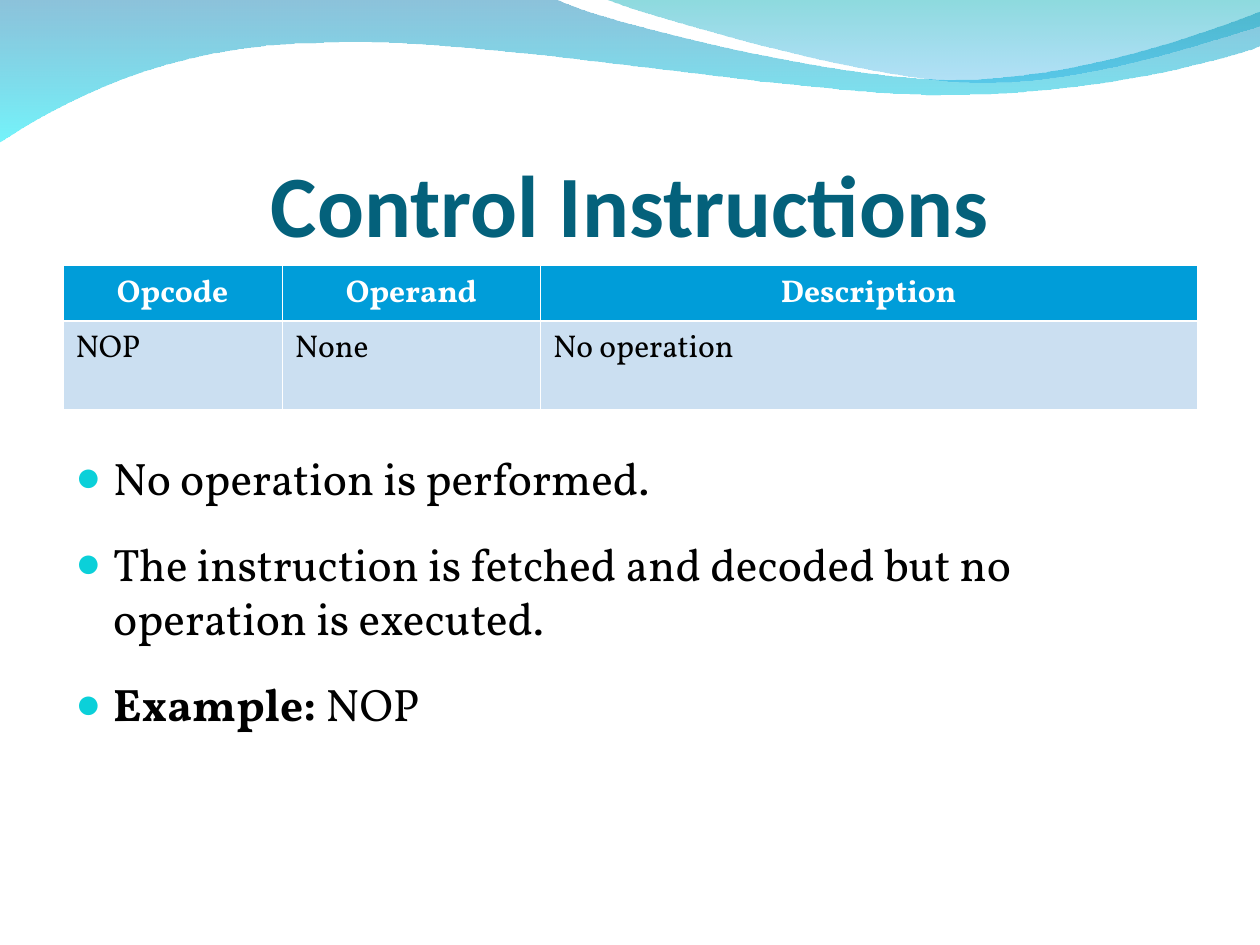
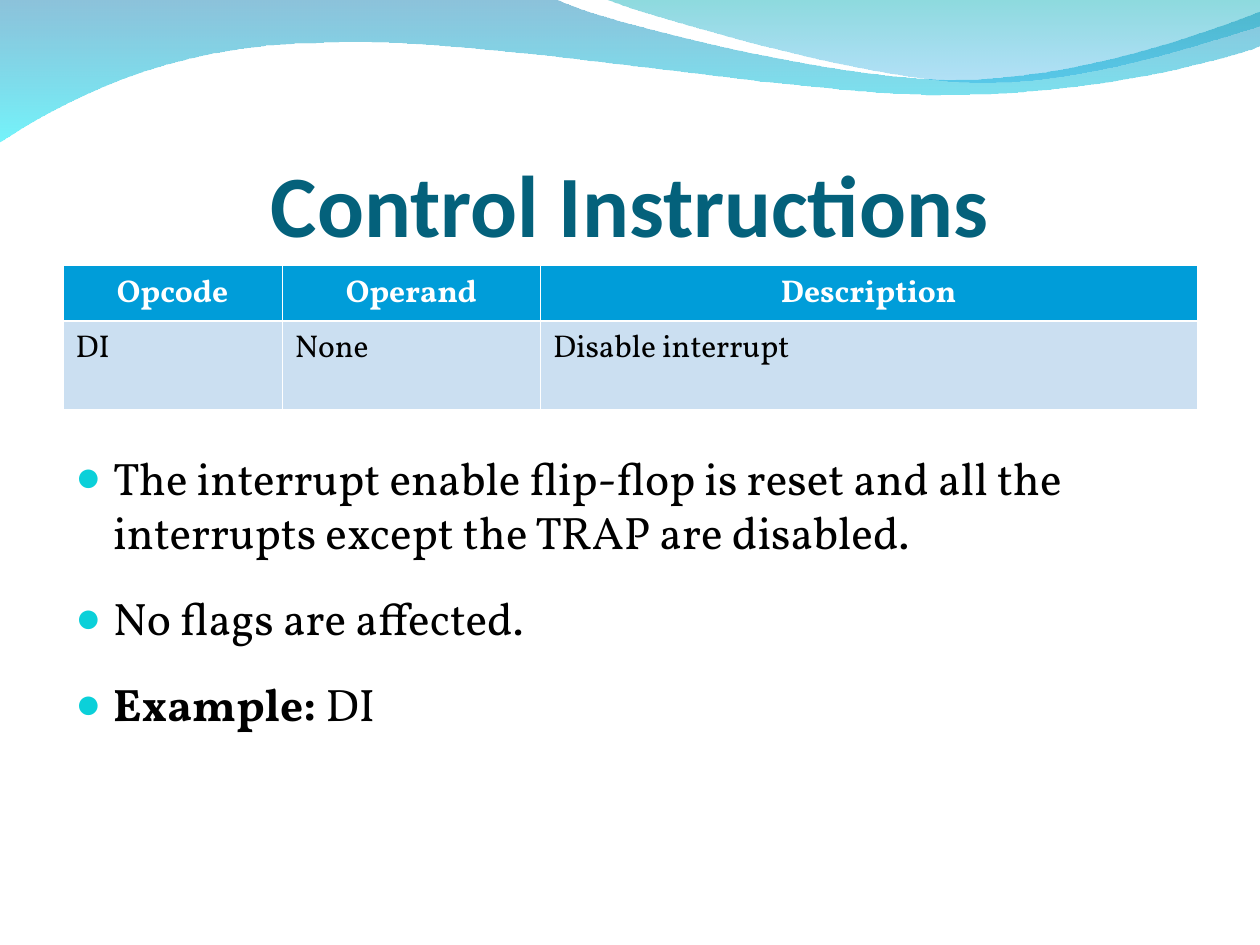
from lxml.etree import Element, SubElement as Sub
from pptx import Presentation
from pptx.dml.color import RGBColor as RGB
from pptx.enum.text import MSO_ANCHOR as Anchor, PP_ALIGN as Align
from pptx.oxml.ns import qn
from pptx.util import Inches, Pt

HEX = {
    "title": "04617B", "head": "009DD9", "row": "CBDFF1", "dot": "0BD0D9",
    "white": "FFFFFF", "black": "000000",
    "deep": "0079AF", "aqua": "00EBF8", "teal": "00ADB6", "sky": "009BE5",
}
SERIF = "Vollkorn"
COLS = (1.74, 2.05, 5.21)
ROWS = (0.44, 0.7)
HEADS = ("Opcode", "Operand", "Description")
THIN, THICK = 0.45, 1.47

WAVE = [
    [(0, -0.01)], [(4.4, -0.01)],
    [(4.76, 0.17), (6.64, 0.63), (7.58, 0.63)],
    [(8.53, 0.63), (9.58, 0.26), (10, 0.09)],
    [(10.01, 0.36)],
    [(9.83, 0.44), (8.7, 0.76), (7.46, 0.75)],
    [(6.22, 0.75), (3.82, 0.28), (2.57, 0.34)],
    [(1.29, 0.35), (0.46, 0.83), (-0.01, 1.13)],
]
CREST = [
    [(4.79, -0.01)],
    [(5.09, 0.11), (6.82, 0.62), (7.69, 0.65)],
    [(8.56, 0.69), (9.61, 0.32), (10, 0.21)],
    [(10, 0)],
]

SLIDES = [
    (("NOP", "None", "No operation"),
     ("No operation is performed.",
      "The instruction is fetched and decoded but no operation is executed.")),
    (("DI", "None", "Disable interrupt"),
     ("The interrupt enable flip-flop is reset and all the interrupts "
      "except the TRAP are disabled.",
      "No flags are affected.")),
]


def bend(band, outline):
    """Turn each run of three line points into one Bezier curve."""
    lines = iter(list(band.element.spPr.iter(qn("a:lnTo"))))
    for seg in outline[1:]:
        group = [next(lines) for _ in seg]
        if len(seg) == 3:
            arc = Element(qn("a:cubicBezTo"))
            group[0].addprevious(arc)
            for line in group:
                arc.append(line[0])
                line.getparent().remove(line)


def add_wave(slide, outline, stops):
    """Draw a closed band with a top-to-bottom see-through gradient."""
    spots = [(Inches(x), Inches(y)) for seg in outline for x, y in seg]
    pen = slide.shapes.build_freeform(*spots[0])
    pen.add_line_segments(spots[1:], close=True)
    band = pen.convert_to_shape()
    bend(band, outline)
    band.shadow.inherit = False
    band.line.fill.background()
    band.fill.gradient()
    band.fill.gradient_angle = 270
    for stop, (name, _) in zip(band.fill.gradient_stops, stops):
        stop.color.rgb = RGB.from_string(HEX[name])
    tints = band.element.spPr.iter(qn("a:srgbClr"))
    for tint, (_, alpha) in zip(tints, stops):
        Sub(tint, qn("a:alpha"), val=str(alpha * 1000))


def set_font(font, size, color, name=SERIF, bold=None):
    """Set the face, size, colour and weight of a font."""
    font.name, font.size, font.bold = name, Pt(size), bold
    font.color.rgb = RGB.from_string(HEX[color])


def add_box(slide, left, top, width, height):
    """Add a wrapping text box and return its text frame."""
    box = slide.shapes.add_textbox(*map(Inches, (left, top, width, height)))
    box.text_frame.word_wrap = True
    return box.text_frame


def add_title(slide, text):
    """Add the centred slide title."""
    frame = add_box(slide, 0.5, 0.77, 9, 1.25)
    frame.vertical_anchor = Anchor.BOTTOM
    frame.margin_left = frame.margin_right = frame.margin_bottom = 0
    para = frame.paragraphs[0]
    para.text, para.alignment = text, Align.CENTER
    set_font(para.font, 50, "title", "Calibri", True)


def set_edges(cell, widths):
    """Give a cell white borders: left, right, top and bottom."""
    props = cell._tc.get_or_add_tcPr()
    for side, width in zip("LRTB", widths):
        line = Sub(props, qn(f"a:ln{side}"), w=str(Pt(width)))
        fill = Sub(line, qn("a:solidFill"))
        Sub(fill, qn("a:srgbClr"), val=HEX["white"])


def add_table(slide, values):
    """Add the opcode table with its header and one row."""
    shape = slide.shapes.add_table(
        len(ROWS), len(COLS), Inches(0.5), Inches(2.11),
        Inches(sum(COLS)), Inches(sum(ROWS)))
    table = shape.table
    for col, width in zip(table.columns, COLS):
        col.width = Inches(width)
    for row, height in zip(table.rows, ROWS):
        row.height = Inches(height)
    for r, texts in enumerate((HEADS, values)):
        head = r == 0
        for c, text in enumerate(texts):
            cell = table.cell(r, c)
            ends = (THIN, THICK) if head else (THICK, THIN)
            set_edges(cell, (THIN, THIN, *ends))
            cell.fill.solid()
            cell.fill.fore_color.rgb = RGB.from_string(HEX["head" if head else "row"])
            para = cell.text_frame.paragraphs[0]
            para.text = text
            para.alignment = Align.CENTER if head else Align.LEFT
            set_font(para.font, 18, "white" if head else "black", bold=head)


def set_bullet(para):
    """Give a paragraph a hanging round bullet."""
    props = para._p.get_or_add_pPr()
    props.set("marL", str(Inches(0.3)))
    props.set("indent", str(Inches(-0.3)))
    Sub(Sub(props, qn("a:buClr")), qn("a:srgbClr"), val=HEX["dot"])
    Sub(props, qn("a:buSzPct"), val="95000")
    Sub(props, qn("a:buFont"), typeface="Arial")
    Sub(props, qn("a:buChar"), char="●")


def add_points(slide, points, code):
    """Add the bulleted points, closed by the example."""
    frame = add_box(slide, 0.5, 3.52, 9, 3.4)
    lines = [[(text, False)] for text in points]
    lines.append([("Example:", True), (f" {code}", False)])
    for n, runs in enumerate(lines):
        para = frame.add_paragraph() if n else frame.paragraphs[0]
        set_bullet(para)
        para.space_after = Pt(18)
        set_font(para.font, 26, "black")
        for text, bold in runs:
            run = para.add_run()
            run.text, run.font.bold = text, bold


def main():
    """Build and save the slides."""
    deck = Presentation()
    deck.slide_width, deck.slide_height = Inches(10), Inches(7.5)
    for values, points in SLIDES:
        slide = deck.slides.add_slide(deck.slide_layouts[6])
        add_wave(slide, WAVE, (("deep", 45), ("aqua", 55)))
        add_wave(slide, CREST, (("teal", 45), ("sky", 30)))
        add_title(slide, "Control Instructions")
        add_table(slide, values)
        add_points(slide, points, values[0])
    deck.save("out.pptx")


if __name__ == "__main__":
    main()
